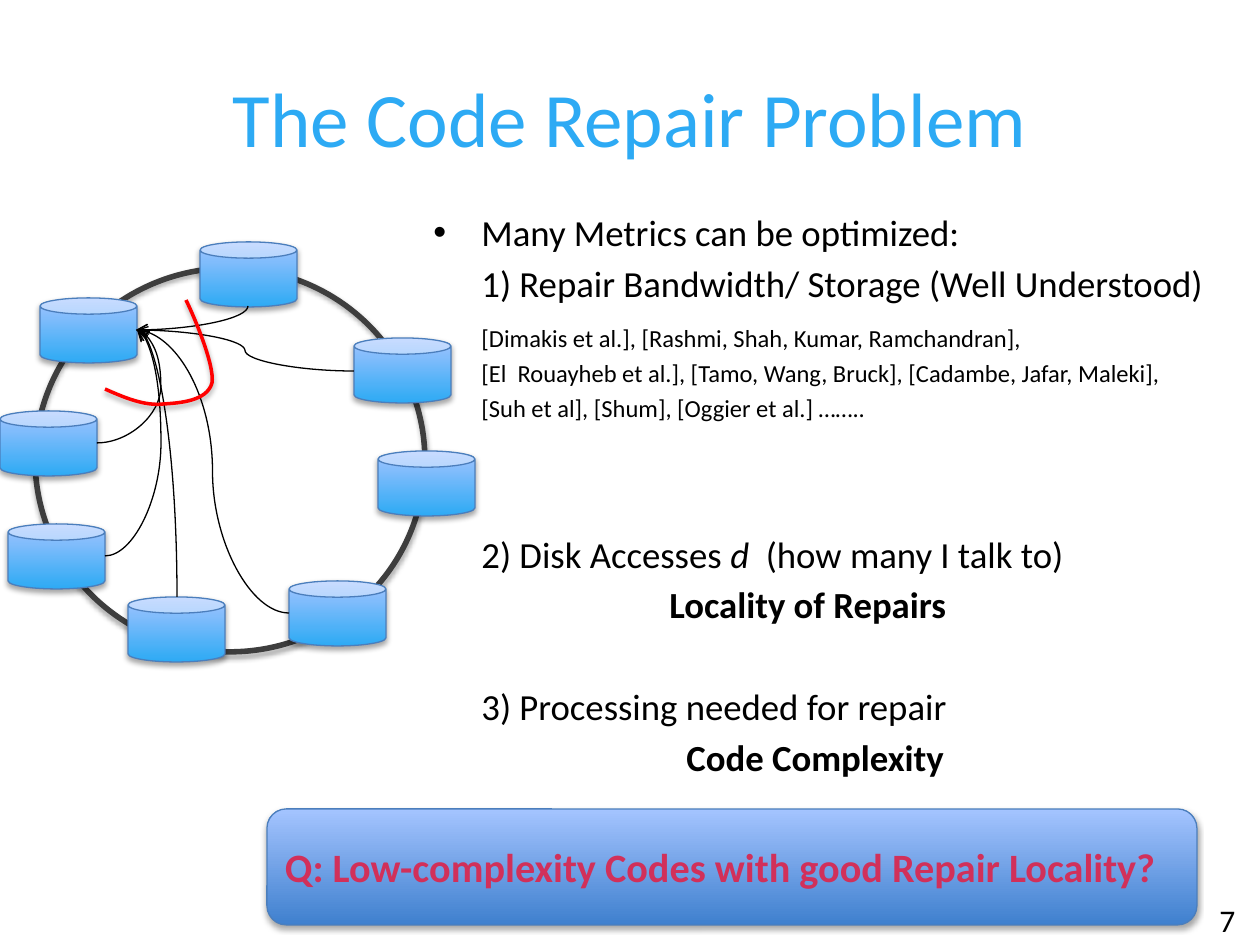
from dataclasses import dataclass

from lxml import etree
from pptx import Presentation
from pptx.dml.color import RGBColor
from pptx.enum.shapes import MSO_CONNECTOR, MSO_SHAPE
from pptx.enum.text import MSO_ANCHOR, PP_ALIGN
from pptx.oxml.ns import qn
from pptx.util import Pt

CAN, DONUT, ROUNDED = MSO_SHAPE.CAN, MSO_SHAPE.DONUT, MSO_SHAPE.ROUNDED_RECTANGLE
CURVE = MSO_CONNECTOR.CURVE
MIDDLE, CENTER, LEFT = MSO_ANCHOR.MIDDLE, PP_ALIGN.CENTER, PP_ALIGN.LEFT
EMU_PER_PX = 914400 / 126


@dataclass(frozen=True)
class Theme:
    font: str = "Calibri"
    title: str = "2DAAF4"
    text: str = "000000"
    question: str = "D1305A"
    ring: str = "3E3E3E"
    outline: str = "4B7EBC"
    cut: str = "FF0000"
    light: str = "A4C4FF"
    can: str = "2DAAF4"
    banner: str = "3F80CE"
    title_size: int = 44
    question_size: int = 23
    body_size: int = 21
    number_size: int = 18
    citation_size: int = 14


theme = Theme()


def px(*lengths):
    return [round(length * EMU_PER_PX) for length in lengths]


def finish(shape, line_color, width, colors=None):
    """Give a shape its outline, bottom-to-top gradient and soft shadow."""
    shape.line.color.rgb = RGBColor.from_string(line_color)
    shape.line.width = Pt(width)
    if colors:
        shape.fill.gradient()
        shape.fill.gradient_angle = 90
        for stop, color in zip(shape.fill.gradient_stops, colors):
            stop.color.rgb = RGBColor.from_string(color)
    shape.shadow.inherit = False
    effects = shape.element.spPr.find(qn("a:effectLst"))
    shadow = etree.SubElement(effects, qn("a:outerShdw"), blurRad="40000",
                              dist="23000", dir="5400000", rotWithShape="0")
    black = etree.SubElement(shadow, qn("a:srgbClr"), val="000000")
    etree.SubElement(black, qn("a:alpha"), val="35000")


deck = Presentation()
deck.slide_width, deck.slide_height = px(1260, 945)
page = deck.slides.add_slide(deck.slide_layouts[5])
shapes = page.shapes

# Title
title = shapes.title
title.left, title.top, title.width, title.height = px(63, 38, 1134, 157)
title.text_frame.text = "The Code Repair Problem"
title.text_frame.vertical_anchor = MIDDLE
para = title.text_frame.paragraphs[0]
para.alignment = CENTER
para.font.name = theme.font
para.font.size = Pt(theme.title_size)
para.font.color.rgb = RGBColor.from_string(theme.title)

# Metrics list: spans, left margin in px, type size, points before, bold
BODY, CITE = theme.body_size, theme.citation_size
metrics = [
    (["Many Metrics can be optimized:"], 48, BODY, 0, False),
    (["1) Repair Bandwidth/ Storage (Well Understood)"], 48, BODY, 3.7, False),
    (["[Dimakis et al.], [Rashmi, Shah, Kumar, Ramchandran],"], 48, CITE, 10.3, False),
    (["[El  Rouayheb et al.], [Tamo, Wang, Bruck], [Cadambe, Jafar, Maleki],"],
     48, CITE, 3.2, False),
    (["[Suh et al], [Shum], [Oggier et al.] …….."], 48, CITE, 3.2, False),
    (["2) Disk Accesses ", "d  ", "(how many I talk to)"], 48, BODY, 62.3, False),
    (["Locality of Repairs"], 236, BODY, 3.7, True),
    (["3) Processing needed for repair"], 48, BODY, 33, False),
    (["Code Complexity"], 253, BODY, 3.7, True),
]
box = shapes.add_textbox(*px(421, 204, 839, 600))
frame = box.text_frame
frame.word_wrap = True
for index, (spans, margin, size, before, bold) in enumerate(metrics):
    para = frame.paragraphs[0] if index == 0 else frame.add_paragraph()
    properties = para._p.get_or_add_pPr()
    properties.set("marL", str(px(margin)[0]))
    properties.set("indent", str(px(-margin)[0] if index == 0 else 0))
    if index == 0:
        etree.SubElement(properties, qn("a:buFont"), typeface="Arial")
        etree.SubElement(properties, qn("a:buChar"), char="•")
    para.space_before = Pt(before)
    para.font.name = theme.font
    para.font.size = Pt(size)
    para.font.bold = bold
    para.font.color.rgb = RGBColor.from_string(theme.text)
    for text in spans:
        span = para.add_run()
        span.text = text
        if text.strip() == "d":
            span.font.italic = True

# Ring of storage nodes
ring = shapes.add_shape(DONUT, *px(33, 266, 394, 388))
ring.adjustments[0] = 0.011
ring.fill.solid()
ring.fill.fore_color.rgb = RGBColor.from_string(theme.ring)
finish(ring, theme.ring, 0.75)
nodes = [(0, 411), (40, 298), (8, 524), (128, 597),
         (289, 581), (378, 451), (354, 338), (200, 242)]
for left, top in nodes:
    node = shapes.add_shape(CAN, *px(left, top, 97, 65))
    finish(node, theme.outline, 0.75, (theme.can, theme.light))

# Repair links: start and end before rotation, degrees, preset, bend in percent
links = [
    (136, 330, 289, 613, 180, "curvedConnector3", 50),
    (136, 330, 354, 371, 180, "curvedConnector3", 50),
    (180, 262, 204, 374, 90, "curvedConnector2", None),
    (23, 483, 291, 443, 270, "curvedConnector2", None),
    (97, 443, 137, 330, 0, "curvedConnector3", 160),
    (105, 556, 137, 330, 0, "curvedConnector3", 175),
]
for *ends, degrees, preset, bend in links:
    link = shapes.add_connector(CURVE, *px(*ends))
    link.line.color.rgb = RGBColor.from_string(theme.text)
    link.line.width = Pt(0.75)
    properties = link.element.spPr
    properties.find(qn("a:xfrm")).set("rot", str(degrees * 60000))
    geometry = properties.find(qn("a:prstGeom"))
    geometry.set("prst", preset)
    if bend:
        etree.SubElement(geometry.find(qn("a:avLst")), qn("a:gd"),
                         name="adj1", fmla=f"val {bend * 1000}")
    etree.SubElement(properties.find(qn("a:ln")), qn("a:tailEnd"), type="arrow")
    etree.SubElement(properties, qn("a:effectLst"))

# Red cut across the links: every three points become one Bézier segment
builder = shapes.build_freeform(105, 389, scale=EMU_PER_PX)
builder.add_line_segments([(125, 398), (145, 406), (163, 404),
                           (180, 403), (207, 401), (212, 383),
                           (215, 365), (193, 314), (186, 300)], close=False)
cut = builder.convert_to_shape()
cut.fill.background()
finish(cut, theme.cut, 2)
outline = cut.element.find(".//" + qn("a:path"))
steps = outline.findall(qn("a:lnTo"))
for first in range(0, len(steps), 3):
    segment = etree.SubElement(outline, qn("a:cubicBezTo"))
    for step in steps[first:first + 3]:
        segment.append(step[0])
        outline.remove(step)

# Slide number and closing question
number = shapes.add_textbox(*px(1207, 895, 53, 50))
banner = shapes.add_shape(ROUNDED, *px(267, 809, 930, 116))
finish(banner, theme.outline, 0.75, (theme.banner, theme.light))
banner.text_frame.vertical_anchor = MIDDLE
banner.text_frame.word_wrap = True
labels = [
    (number, "7", theme.number_size, theme.text, False),
    (banner, "Q: Low-complexity Codes with good Repair Locality?",
     theme.question_size, theme.question, True),
]
for box, text, size, color, bold in labels:
    box.text_frame.text = text
    para = box.text_frame.paragraphs[0]
    para.alignment = LEFT
    para.font.name = theme.font
    para.font.size = Pt(size)
    para.font.bold = bold
    para.font.color.rgb = RGBColor.from_string(color)

deck.save("out.pptx")
